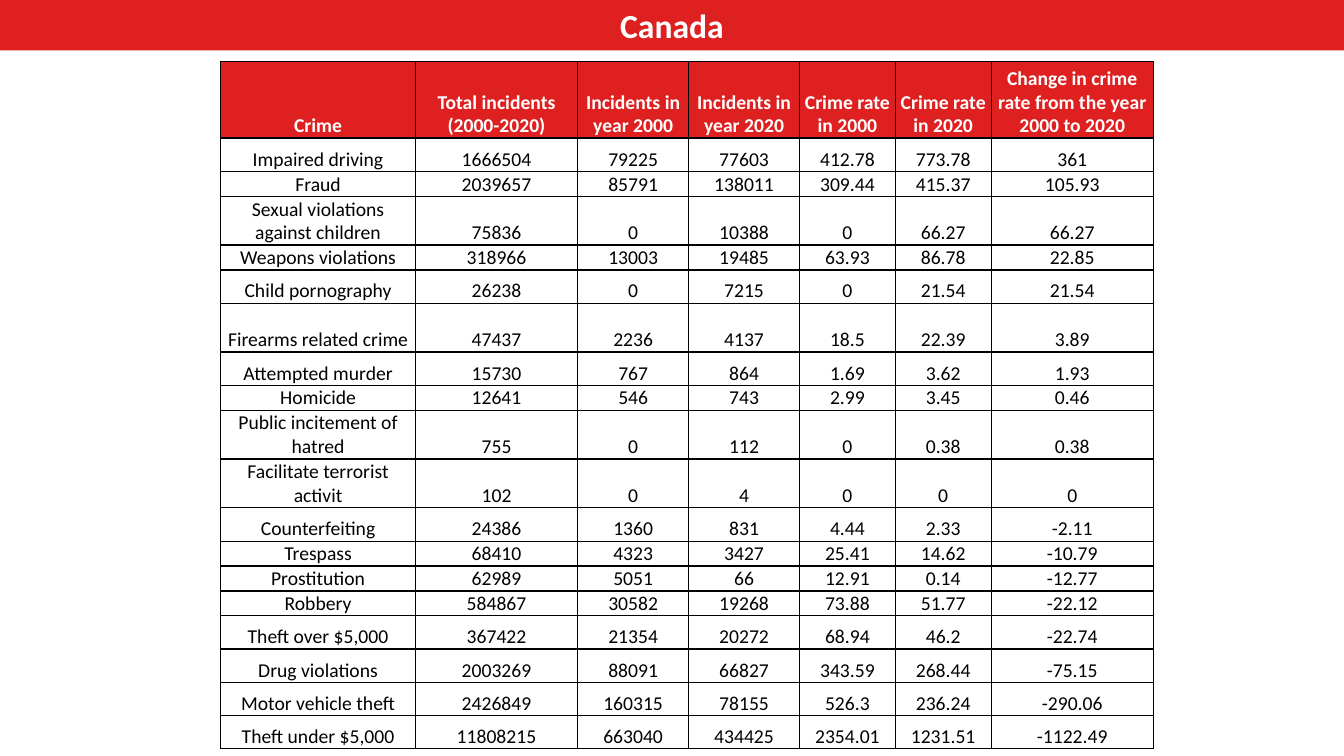
from lxml import etree
from pptx import Presentation
from pptx.dml.color import RGBColor
from pptx.enum.shapes import MSO_SHAPE
from pptx.enum.text import MSO_ANCHOR, PP_ALIGN
from pptx.oxml.ns import qn
from pptx.util import Inches, Pt

RECTANGLE = MSO_SHAPE.RECTANGLE
CENTER = PP_ALIGN.CENTER
BOTTOM, MIDDLE = MSO_ANCHOR.BOTTOM, MSO_ANCHOR.MIDDLE

COUNTRY = "Canada"
HEADINGS = (
    "Crime", "Total incidents (2000-2020)", "Incidents in year 2000",
    "Incidents in year 2020", "Crime rate in 2000", "Crime rate in 2020",
    "Change in crime rate from the year 2000 to 2020",
)
CRIMES = [
    ("Impaired driving", 1666504, 79225, 77603, 412.78, 773.78, 361),
    ("Fraud", 2039657, 85791, 138011, 309.44, 415.37, 105.93),
    ("Sexual violations against children", 75836, 0, 10388, 0, 66.27, 66.27),
    ("Weapons violations", 318966, 13003, 19485, 63.93, 86.78, 22.85),
    ("Child pornography", 26238, 0, 7215, 0, 21.54, 21.54),
    ("Firearms related crime", 47437, 2236, 4137, 18.5, 22.39, 3.89),
    ("Attempted murder", 15730, 767, 864, 1.69, 3.62, 1.93),
    ("Homicide", 12641, 546, 743, 2.99, 3.45, 0.46),
    ("Public incitement of hatred", 755, 0, 112, 0, 0.38, 0.38),
    ("Facilitate terrorist activit", 102, 0, 4, 0, 0, 0),
    ("Counterfeiting", 24386, 1360, 831, 4.44, 2.33, -2.11),
    ("Trespass", 68410, 4323, 3427, 25.41, 14.62, -10.79),
    ("Prostitution", 62989, 5051, 66, 12.91, 0.14, -12.77),
    ("Robbery", 584867, 30582, 19268, 73.88, 51.77, -22.12),
    ("Theft over $5,000", 367422, 21354, 20272, 68.94, 46.2, -22.74),
    ("Drug violations", 2003269, 88091, 66827, 343.59, 268.44, -75.15),
    ("Motor vehicle theft", 2426849, 160315, 78155, 526.3, 236.24, -290.06),
    ("Theft under $5,000", 11808215, 663040, 434425, 2354.01, 1231.51, -1122.49),
]

FONT = "Calibri"
RED, WHITE, BLACK = "DF2020", "FFFFFF", "000000"
SLIDE_WIDTH, SLIDE_HEIGHT = 13.33, 7.5
BANNER_HEIGHT = SLIDE_HEIGHT / 15
TABLE_LEFT, TABLE_TOP = 2.19, 0.61
COLUMN_WIDTHS = (1.93, 1.61, 1.1, 1.1, 0.95, 0.95, 1.61)
HEADING, SINGLE, ROOMY, DOUBLE = 0.76, 0.24, 0.33, 0.485
ROW_HEIGHTS = (
    HEADING, ROOMY, SINGLE, DOUBLE, SINGLE, ROOMY, DOUBLE, ROOMY, SINGLE,
    DOUBLE, DOUBLE, ROOMY, SINGLE, SINGLE, SINGLE, ROOMY, ROOMY, ROOMY, ROOMY,
)
CELL_MARGIN = Inches(0.01)


def rgb(value):
    return RGBColor.from_string(value)


def write(frame, text, size, color, bold):
    paragraph = frame.paragraphs[0]
    paragraph.alignment = CENTER
    run = paragraph.add_run()
    run.text = text
    run.font.name = FONT
    run.font.size = Pt(size)
    run.font.bold = bold
    run.font.color.rgb = rgb(color)


def add_borders(cell):
    """Draw all four edges; call before filling, as the schema puts lines first."""
    properties = cell._tc.get_or_add_tcPr()
    for edge in ("a:lnL", "a:lnR", "a:lnT", "a:lnB"):
        line = etree.SubElement(properties, qn(edge), w=str(Pt(1)))
        fill = etree.SubElement(line, qn("a:solidFill"))
        etree.SubElement(fill, qn("a:srgbClr"), val=BLACK)


def format_cell(cell, text, is_heading):
    cell.vertical_anchor = BOTTOM
    cell.margin_left = cell.margin_right = cell.margin_top = CELL_MARGIN
    cell.margin_bottom = 0
    add_borders(cell)
    if is_heading:
        cell.fill.solid()
        cell.fill.fore_color.rgb = rgb(RED)
    else:
        cell.fill.background()
    write(cell.text_frame, text, 14, WHITE if is_heading else BLACK, is_heading)


def add_crime_table(slide):
    records = [HEADINGS, *CRIMES]
    table = slide.shapes.add_table(
        len(records), len(HEADINGS), Inches(TABLE_LEFT), Inches(TABLE_TOP),
        Inches(sum(COLUMN_WIDTHS)), Inches(sum(ROW_HEIGHTS))).table
    table.first_row = table.horz_banding = False
    for column, width in zip(table.columns, COLUMN_WIDTHS):
        column.width = Inches(width)
    for row, height in zip(table.rows, ROW_HEIGHTS):
        row.height = Inches(height)
    for r, record in enumerate(records):
        for c, value in enumerate(record):
            format_cell(table.cell(r, c), str(value), r == 0)


def add_banner(slide):
    banner = slide.shapes.add_shape(
        RECTANGLE, 0, 0, Inches(SLIDE_WIDTH), Inches(BANNER_HEIGHT))
    banner.shadow.inherit = False
    banner.fill.solid()
    banner.fill.fore_color.rgb = rgb(RED)
    banner.line.fill.background()
    banner.text_frame.word_wrap = True
    banner.text_frame.vertical_anchor = MIDDLE
    write(banner.text_frame, COUNTRY, 24, WHITE, True)


def main():
    deck = Presentation()
    deck.slide_width, deck.slide_height = Inches(SLIDE_WIDTH), Inches(SLIDE_HEIGHT)
    slide = deck.slides.add_slide(deck.slide_layouts[6])
    add_crime_table(slide)
    add_banner(slide)
    deck.save("out.pptx")


if __name__ == "__main__":
    main()
